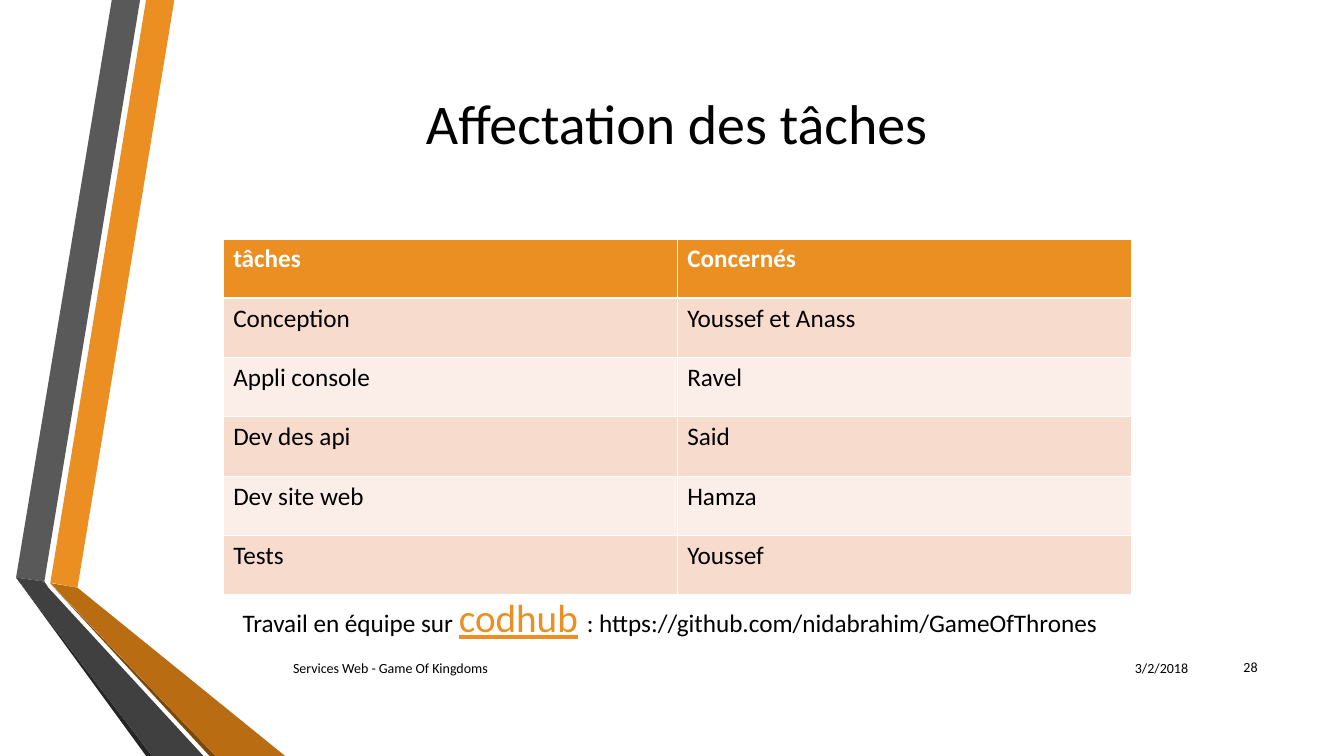
from dataclasses import dataclass
from lxml.etree import SubElement
from pptx import Presentation
from pptx.dml.color import RGBColor
from pptx.enum.text import MSO_ANCHOR as ANCHOR, PP_ALIGN as ALIGN
from pptx.oxml.ns import qn
from pptx.util import Pt


@dataclass(frozen=True)
class Theme:
    font: str = "Calibri"
    black: str = "000000"
    white: str = "FFFFFF"
    orange: str = "EB8F22"
    amber: str = "B96C11"
    brown: str = "7B480B"
    gray: str = "595959"
    charcoal: str = "404040"
    ink: str = "262626"
    band_dark: str = "F7DBCC"
    band_light: str = "FBEEE8"
    title: int = 40
    link: int = 28
    body: int = 18
    footer: int = 10
    thin: float = 0.45
    thick: float = 1.47


T = Theme()

RIBBONS = [
    (T.orange, [(36, 416.2), (55.4, 419.8), (124.6, 0), (104.4, 0)]),
    (T.gray, [(100.1, 0), (79.9, 0), (11.5, 412.6), (31.7, 415.4)]),
    (T.ink, [(11.5, 412.6), (104.4, 540), (108.7, 540)]),
    (T.brown, [(36, 416.9), (149.8, 540), (154.1, 540)]),
    (T.amber, [(36, 416.5), (154.1, 540), (203.8, 540), (55.4, 419.8)]),
    (T.charcoal, [(145.4, 540), (34.6, 419.8), (31.7, 415.4), (11.5, 412.6), (108.7, 540)]),
]

TASKS = [
    ("tâches", "Concernés"),
    ("Conception", "Youssef et Anass"),
    ("Appli console", "Ravel"),
    ("Dev des api", "Said"),
    ("Dev site web", "Hamza"),
    ("Tests", "Youssef"),
]


def rgb(color):
    return RGBColor.from_string(color)


def add_run(p, text, size=T.body, color=T.black, bold=False, underline=False):
    r = p.add_run()
    r.text = text
    font = r.font
    font.name, font.size, font.bold, font.underline = T.font, Pt(size), bold, underline
    font.color.rgb = rgb(color)


def add_text_box(slide, left, top, width, height, align=ALIGN.LEFT, anchor=ANCHOR.MIDDLE):
    tf = slide.shapes.add_textbox(Pt(left), Pt(top), Pt(width), Pt(height)).text_frame
    tf.word_wrap = True
    tf.vertical_anchor = anchor
    p = tf.paragraphs[0]
    p.alignment = align
    return p


def add_ribbon(slide, color, points):
    start, *rest = [(Pt(x), Pt(y)) for x, y in points]
    builder = slide.shapes.build_freeform(*start)
    builder.add_line_segments(rest)
    sp = builder.convert_to_shape()
    sp.shadow.inherit = False
    sp.fill.solid()
    sp.fill.fore_color.rgb = rgb(color)
    sp.line.fill.background()


def set_borders(cell, **widths):
    tc_pr = cell._tc.get_or_add_tcPr()
    for i, side in enumerate("LRTB"):
        ln = SubElement(tc_pr, qn(f"a:ln{side}"), w=str(Pt(widths.get(side, T.thin))))
        fill = SubElement(ln, qn("a:solidFill"))
        SubElement(fill, qn("a:srgbClr"), val=T.white)
        tc_pr.insert(i, ln)


def add_task_table(slide, left, top, width, height):
    rows, cols = len(TASKS), len(TASKS[0])
    table = slide.shapes.add_table(rows, cols, Pt(left), Pt(top), Pt(width), Pt(height)).table
    for i, values in enumerate(TASKS):
        header = i == 0
        band = T.band_dark if i % 2 else T.band_light
        for j, text in enumerate(values):
            cell = table.cell(i, j)
            cell.fill.solid()
            cell.fill.fore_color.rgb = rgb(T.orange if header else band)
            set_borders(cell, T=T.thick if i == 1 else T.thin, B=T.thick if header else T.thin)
            add_run(cell.text_frame.paragraphs[0], text,
                    color=T.white if header else T.black, bold=header)


def main():
    prs = Presentation()
    prs.slide_width, prs.slide_height = Pt(960.5), Pt(540)
    slide = prs.slides.add_slide(prs.slide_layouts[6])

    for color, points in RIBBONS:
        add_ribbon(slide, color, points)

    p = add_text_box(slide, 287.3, 49, 392.4, 76.3, align=ALIGN.CENTER)
    add_run(p, "Affectation des tâches", size=T.title)

    add_task_table(slide, 159.5, 170.6, 649, 254.2)

    p = add_text_box(slide, 166.3, 420.5, 630, 62.6, anchor=ANCHOR.TOP)
    add_run(p, "Travail en équipe sur ")
    add_run(p, "codhub", size=T.link, color=T.orange, underline=True)
    add_run(p, " ", size=T.link, color=T.orange)
    add_run(p, ": https://github.com/nidabrahim/GameOfThrones")

    p = add_text_box(slide, 766.1, 463, 90, 28.8, align=ALIGN.RIGHT)
    add_run(p, "3/2/2018", size=T.footer)
    p = add_text_box(slide, 202.3, 463, 558, 28.8)
    add_run(p, "Services Web - Game Of Kingdoms", size=T.footer)
    p = add_text_box(slide, 862.6, 462.2, 43.2, 28.8, align=ALIGN.RIGHT)
    add_run(p, "28", size=T.footer)

    prs.save("out.pptx")


if __name__ == "__main__":
    main()
